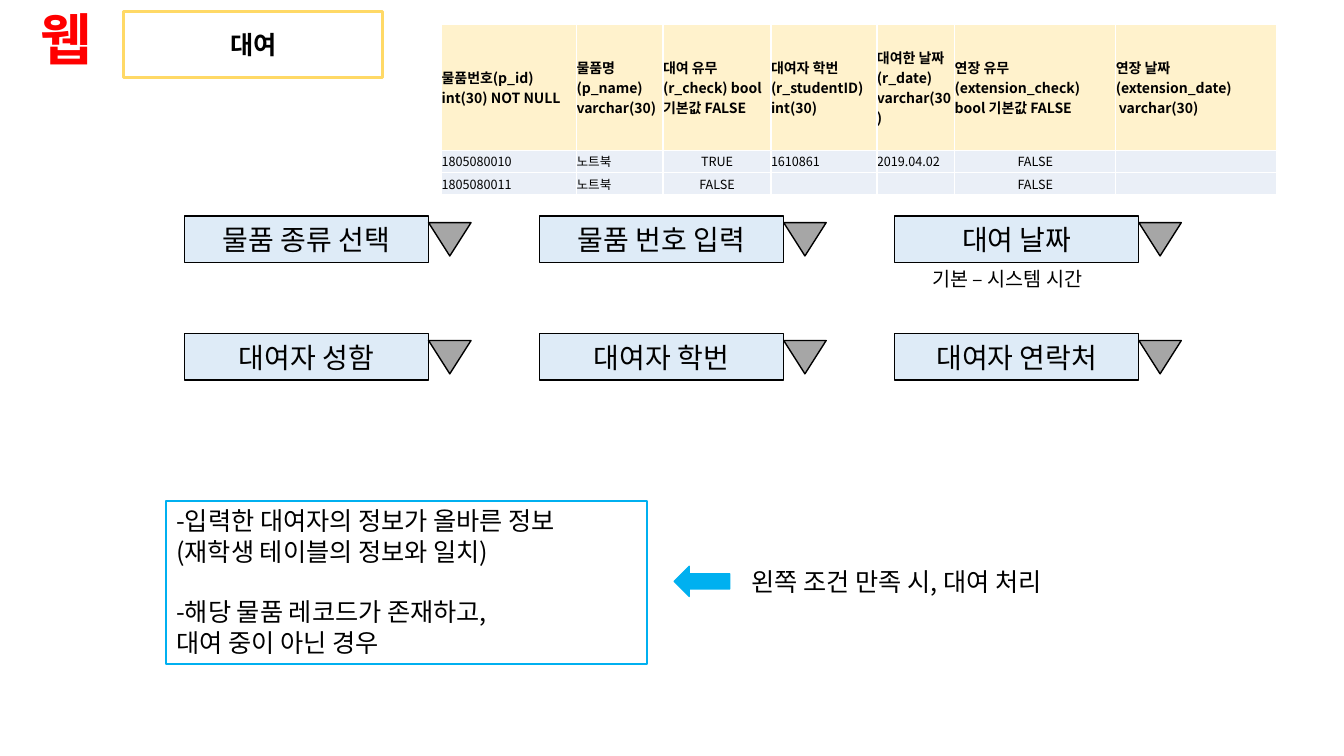
from lxml.etree import SubElement
from pptx import Presentation
from pptx.dml.color import RGBColor
from pptx.enum.shapes import MSO_SHAPE
from pptx.enum.text import MSO_ANCHOR, PP_ALIGN
from pptx.oxml.ns import qn
from pptx.util import Cm, Pt

COLORS = {
    "black": "000000", "white": "FFFFFF", "red": "FF0000", "gold": "FFD966",
    "field": "DEEBF7", "gray": "A6A6A6", "sky": "00B0F0",
    "header": "FFF2CC", "body": "EAEFF7",
}


def rgb(name):
    return RGBColor.from_string(COLORS[name])


class SlideBuilder:
    font_name = "Noto Sans CJK KR"

    def __init__(self, slide):
        self.slide = slide

    def format_text(self, text_frame, text, size, color="black", bold=False,
                    align=PP_ALIGN.LEFT):
        text_frame.text = text
        for paragraph in text_frame.paragraphs:
            paragraph.alignment = align
            for run in paragraph.runs:
                run.font.size = Pt(size)
                run.font.bold = bold
                run.font.color.rgb = rgb(color)
                run.font.name = self.font_name
                east_asian = SubElement(run.font._element, qn("a:ea"))
                east_asian.set("typeface", self.font_name)

    def text_box(self, text, left, top, width, height, size, wrap=False, **style):
        box = self.slide.shapes.add_textbox(Cm(left), Cm(top), Cm(width), Cm(height))
        box.text_frame.word_wrap = wrap
        self.format_text(box.text_frame, text, size, **style)

    def shape(self, kind, left, top, width, height, fill=None, line="black", weight=1):
        shape = self.slide.shapes.add_shape(kind, Cm(left), Cm(top), Cm(width), Cm(height))
        shape.shadow.inherit = False
        if fill:
            shape.fill.solid()
            shape.fill.fore_color.rgb = rgb(fill)
        else:
            shape.fill.background()
        shape.line.color.rgb = rgb(line)
        shape.line.width = Pt(weight)
        return shape

    def dropdown(self, label, left, top):
        width, height = 6.15, 1.17
        field = self.shape(MSO_SHAPE.RECTANGLE, left, top, width, height, fill="field")
        self.format_text(field.text_frame, label, 20, align=PP_ALIGN.CENTER)
        button = self.shape(MSO_SHAPE.FLOWCHART_EXTRACT, left + width, top + 0.17,
                            1.07, 0.84, fill="gray")
        button.rotation = 180

    def cell(self, cell, text, size, fill, **style):
        cell.margin_left = cell.margin_right = cell.margin_top = cell.margin_bottom = 0
        cell.vertical_anchor = MSO_ANCHOR.MIDDLE
        self.format_text(cell.text_frame, text, size, **style)
        if not text:
            end = cell.text_frame.paragraphs[0]._p.get_or_add_endParaRPr()
            end.set("sz", str(size * 100))
        properties = cell._tc.get_or_add_tcPr()
        for side in ("lnL", "lnR", "lnT", "lnB"):
            border = SubElement(properties, qn(f"a:{side}"), w=str(Pt(1)))
            solid = SubElement(border, qn("a:solidFill"))
            SubElement(solid, qn("a:srgbClr"), val=COLORS["white"])
        cell.fill.solid()
        cell.fill.fore_color.rgb = rgb(fill)

    def table(self, rows, left, top, widths, heights):
        table = self.slide.shapes.add_table(
            len(rows), len(widths), Cm(left), Cm(top),
            Cm(sum(widths)), Cm(sum(heights))).table
        table.first_row = table.horz_banding = False
        for column, width in zip(table.columns, widths):
            column.width = Cm(width)
        for row, height in zip(table.rows, heights):
            row.height = Cm(height)
        for i, texts in enumerate(rows):
            for j, text in enumerate(texts):
                if i == 0:
                    self.cell(table.cell(i, j), text, 10, "header", bold=True)
                else:
                    is_flag = text in ("TRUE", "FALSE")
                    align = PP_ALIGN.CENTER if is_flag else PP_ALIGN.LEFT
                    self.cell(table.cell(i, j), text, 9, "body", align=align)


RENTAL_ROWS = [
    ["물품번호(p_id)\nint(30) NOT NULL", "물품명\n(p_name)\nvarchar(30)",
     "대여 유무\n(r_check) bool\n기본값 FALSE", "대여자 학번\n(r_studentID)\nint(30)",
     "대여한 날짜(r_date)\nvarchar(30)", "연장 유무\n(extension_check)\nbool 기본값 FALSE",
     "연장 날짜\n(extension_date)\n varchar(30)"],
    ["1805080010", "노트북", "TRUE", "1610861", "2019.04.02", "FALSE", ""],
    ["1805080011", "노트북", "FALSE", "", "", "FALSE", ""],
]
FIELD_ROWS = [
    ["물품 종류 선택", "물품 번호 입력", "대여 날짜"],
    ["대여자 성함", "대여자 학번", "대여자 연락처"],
]
CONDITIONS = ("-입력한 대여자의 정보가 올바른 정보\n(재학생 테이블의 정보와 일치)\n"
              "-해당 물품 레코드가 존재하고,\n대여 중이 아닌 경우")


def main():
    presentation = Presentation()
    presentation.slide_width = Cm(33.87)
    presentation.slide_height = Cm(19.05)
    slide = presentation.slides.add_slide(presentation.slide_layouts[6])
    builder = SlideBuilder(slide)

    # Heading
    builder.text_box("웹", 0.76, 0, 1.93, 1.96, 40, color="red", bold=True)
    title = builder.shape(MSO_SHAPE.FLOWCHART_PROCESS, 3.12, 0.28, 6.53, 1.68,
                          fill="white", line="gold", weight=2.25)
    builder.format_text(title.text_frame, "대여", 18, bold=True, align=PP_ALIGN.CENTER)

    # Input fields
    for i, labels in enumerate(FIELD_ROWS):
        for j, label in enumerate(labels):
            builder.dropdown(label, 4.65 + 8.95 * j, 5.44 + 2.97 * i)
    builder.text_box("기본 – 시스템 시간", 23.24, 6.6, 4.78, 0.86, 14)

    # Conditions and result
    conditions = builder.shape(MSO_SHAPE.RECTANGLE, 4.19, 12.62, 12.12, 4.11,
                               line="sky", weight=1.5)
    conditions.text_frame.vertical_anchor = MSO_ANCHOR.TOP
    builder.format_text(conditions.text_frame, CONDITIONS, 18)
    conditions.text_frame.paragraphs[2].space_before = Pt(21.7)
    builder.shape(MSO_SHAPE.LEFT_ARROW, 16.99, 14.27, 1.4, 0.76, fill="sky", line="sky")
    builder.text_box("왼쪽 조건 만족 시, 대여 처리", 18.69, 14.15, 15, 1.02, 18, wrap=True)

    # Rental table
    builder.table(RENTAL_ROWS, 11.13, 0.61,
                  [3.4, 2.18, 2.72, 2.67, 1.96, 4.06, 4.06], [3.18, 0.56, 0.56])

    presentation.save("out.pptx")


if __name__ == "__main__":
    main()
